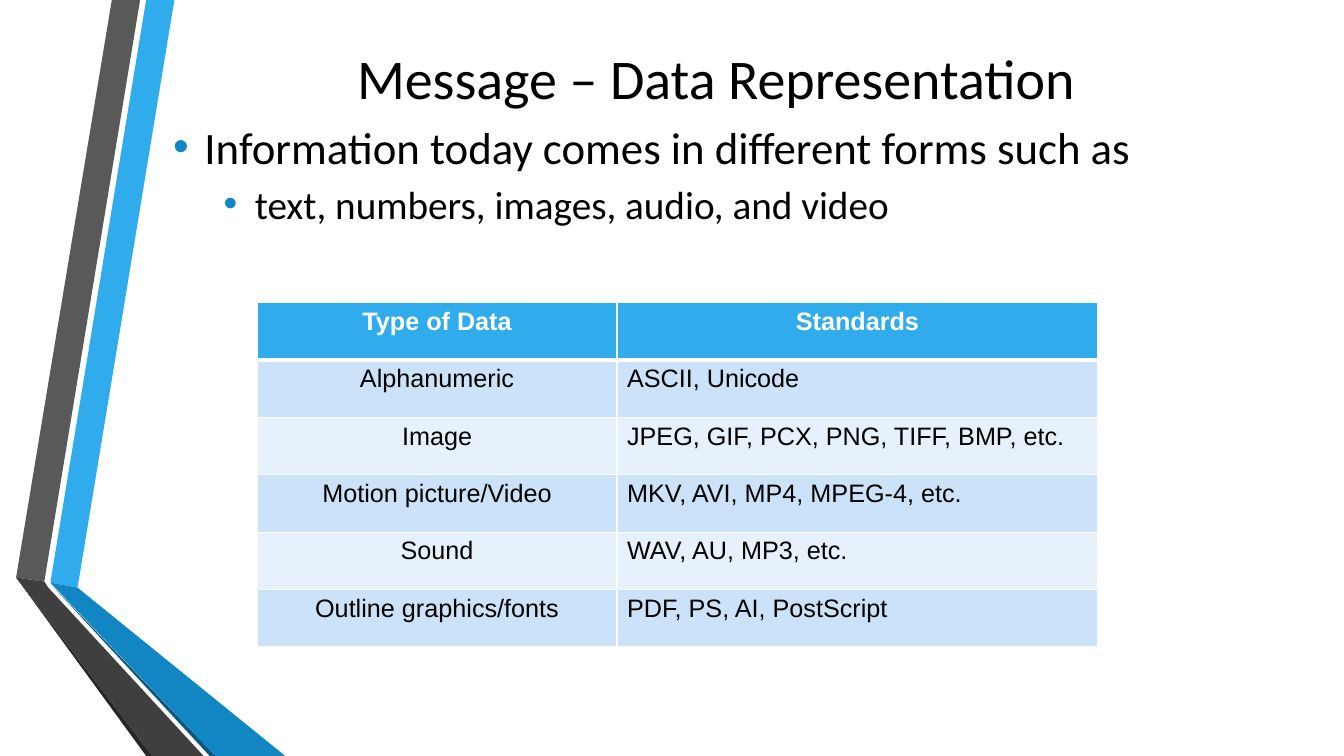
from lxml import etree
from pptx import Presentation
from pptx.dml.color import RGBColor
from pptx.enum.text import MSO_ANCHOR, MSO_AUTO_SIZE, PP_ALIGN
from pptx.oxml.ns import qn
from pptx.util import Inches, Pt

CENTER, LEFT = PP_ALIGN.CENTER, PP_ALIGN.LEFT
MIDDLE, TOP = MSO_ANCHOR.MIDDLE, MSO_ANCHOR.TOP
NO_AUTOFIT = MSO_AUTO_SIZE.NONE
BLACK, WHITE, BLUE, DARK_BLUE = "000000", "FFFFFF", "30ACEC", "1186C3"
BANDS = ("CCE2F8", "E7F1FB")

RIBBONS = [
    (BLUE, [(0.5, 5.78), (0.77, 5.83), (1.73, 0), (1.45, 0)]),
    ("595959", [(1.39, 0), (1.11, 0), (0.16, 5.73), (0.44, 5.77)]),
    ("262626", [(0.16, 5.73), (1.45, 7.5), (1.51, 7.5)]),
    ("0B5982", [(0.5, 5.79), (2.08, 7.5), (2.14, 7.5)]),
    (DARK_BLUE, [(0.5, 5.78), (2.14, 7.5), (2.83, 7.5), (0.77, 5.83)]),
    ("3F3F3F", [(2.02, 7.5), (0.48, 5.83), (0.44, 5.77), (0.16, 5.73), (1.51, 7.5)]),
]
TITLE = "Message – Data Representation"
BULLETS = [
    ("Information today comes in different forms such as", 32, 0.31, -0.32, 0),
    ("text, numbers, images, audio, and video", 28, 0.81, -0.31, 11.6),
]
STANDARDS = [
    ("Type of Data", "Standards"),
    ("Alphanumeric", "ASCII, Unicode"),
    ("Image", "JPEG, GIF, PCX, PNG, TIFF, BMP, etc."),
    ("Motion picture/Video", "MKV, AVI, MP4, MPEG-4, etc."),
    ("Sound", "WAV, AU, MP3, etc."),
    ("Outline graphics/fonts", "PDF, PS, AI, PostScript"),
]


def color(value):
    """Turn a hex string into a colour."""
    return RGBColor.from_string(value)


def add_span(para, text, font, size, fill=BLACK, bold=False):
    """Add one formatted run to a paragraph."""
    span = para.add_run()
    span.text = text
    span.font.name, span.font.size, span.font.bold = font, Pt(size), bold
    span.font.color.rgb = color(fill)


def add_ribbons(slide, left, top):
    """Draw the folded ribbons from the given corner."""
    for fill, points in RIBBONS:
        corners = [(Inches(left + x), Inches(top + y)) for x, y in points]
        builder = slide.shapes.build_freeform(*corners[0])
        builder.add_line_segments(corners[1:], close=True)
        ribbon = builder.convert_to_shape()
        ribbon.shadow.inherit = False
        ribbon.fill.solid()
        ribbon.fill.fore_color.rgb = color(fill)
        ribbon.line.fill.background()


def place_title(slide, left, top, width, height):
    """Move and format the title placeholder."""
    title = slide.shapes.title
    title.left, title.top = Inches(left), Inches(top)
    title.width, title.height = Inches(width), Inches(height)
    frame = title.text_frame
    frame.auto_size, frame.vertical_anchor = NO_AUTOFIT, MIDDLE
    para = frame.paragraphs[0]
    para.alignment = CENTER
    add_span(para, TITLE, "Calibri", 40)


def add_bullets(slide, left, top, width, height):
    """Write the bulleted text in the given box."""
    box = slide.shapes.add_textbox(Inches(left), Inches(top), Inches(width), Inches(height))
    frame = box.text_frame
    frame.word_wrap, frame.vertical_anchor = True, TOP
    for level, (text, size, margin, indent, before) in enumerate(BULLETS):
        para = frame.add_paragraph() if level else frame.paragraphs[0]
        properties = para._p.get_or_add_pPr()
        properties.set("marL", str(Inches(margin)))
        properties.set("indent", str(Inches(indent)))
        bullet_color = etree.SubElement(properties, qn("a:buClr"))
        etree.SubElement(bullet_color, qn("a:srgbClr"), val=DARK_BLUE)
        etree.SubElement(properties, qn("a:buFont"), typeface="Arial")
        etree.SubElement(properties, qn("a:buChar"), char="•")
        para.level, para.line_spacing = level, 0.8
        if before:
            para.space_before = Pt(before)
        add_span(para, text, "Calibri", size)


def set_borders(cell, top, bottom):
    """Give a cell white borders, with its top and bottom widths in points."""
    properties = cell._tc.get_or_add_tcPr()
    widths = {"a:lnL": 1, "a:lnR": 1, "a:lnT": top, "a:lnB": bottom}
    for position, (side, width) in enumerate(widths.items()):
        line = etree.Element(qn(side), w=str(Pt(width)))
        fill = etree.SubElement(line, qn("a:solidFill"))
        etree.SubElement(fill, qn("a:srgbClr"), val=WHITE)
        properties.insert(position, line)


def add_standards_table(slide, left, top, widths, row_height):
    """Build the table of data types and their standards."""
    rows, columns = len(STANDARDS), len(widths)
    table = slide.shapes.add_table(
        rows, columns, Inches(left), Inches(top),
        Inches(sum(widths)), Inches(row_height * rows)).table
    for column, width in zip(table.columns, widths):
        column.width = Inches(width)
    for row, texts in enumerate(STANDARDS):
        table.rows[row].height = Inches(row_height)
        header = row == 0
        for column, text in enumerate(texts):
            cell = table.cell(row, column)
            cell.fill.solid()
            cell.fill.fore_color.rgb = color(BLUE if header else BANDS[(row - 1) % 2])
            set_borders(cell, 3 if row == 1 else 1, 3 if header else 1)
            para = cell.text_frame.paragraphs[0]
            para.alignment = CENTER if header or column == 0 else LEFT
            add_span(para, text, "Arial", 18, WHITE if header else BLACK, header)


def main():
    """Build and save the deck."""
    deck = Presentation()
    deck.slide_width, deck.slide_height = Inches(13.33), Inches(7.5)
    page = deck.slides.add_slide(deck.slide_layouts[5])
    page.background.fill.solid()
    page.background.fill.fore_color.rgb = color(WHITE)
    add_ribbons(page, 0, 0)
    place_title(page, 1.62, 0.36, 10.96, 0.81)
    add_bullets(page, 1.62, 1.24, 10.96, 1.2)
    add_standards_table(page, 2.55, 3, (3.57, 4.77), 0.57)
    deck.save("out.pptx")


if __name__ == "__main__":
    main()
